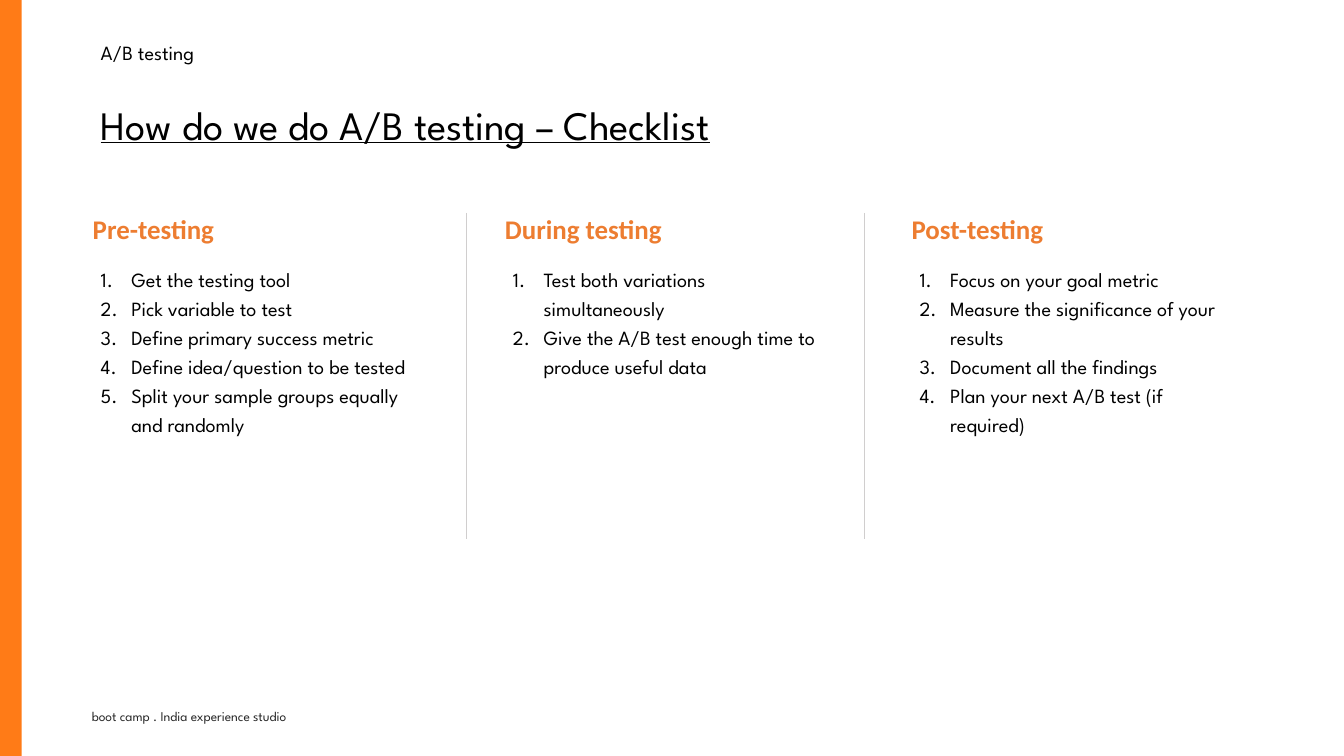
from dataclasses import dataclass

from lxml import etree
from pptx import Presentation
from pptx import util as u
from pptx.dml.color import RGBColor
from pptx.enum import shapes, text
from pptx.oxml.ns import qn

BODY_FONT = "League Spartan"
HEADING_FONT = "Calibri"
BLACK = "000000"
COLUMN_TOP = 2.64
LIST_TOP = 3.2
DIVIDER_BOTTOM = 6.68
NUMBER_INDENT = 0.38


@dataclass
class Style:
    size: float
    color: str = BLACK
    font: str = BODY_FONT
    bold: bool = False
    underline: bool = False
    line_spacing: float = 1.0
    numbered: bool = False
    inset: bool = True
    grows: bool = True
    anchor: text.MSO_ANCHOR = text.MSO_ANCHOR.TOP


@dataclass
class Phase:
    heading: str
    left: float
    list_width: float
    list_height: float
    steps: list[str]


FOOTER = Style(12, color="262626")
TITLE = Style(36, underline=True, line_spacing=0.9, grows=False,
              anchor=text.MSO_ANCHOR.MIDDLE)
TOPIC = Style(18, line_spacing=0.9, grows=False)
HEADING = Style(24, color="ED7D31", font=HEADING_FONT, bold=True, inset=False)
STEP = Style(18, line_spacing=1.2, numbered=True)

PHASES = [
    Phase("Pre-testing", 1.15, 4.16, 2.62, [
        "Get the testing tool",
        "Pick variable to test",
        "Define primary success metric",
        "Define idea/question to be tested",
        "Split your sample groups equally and randomly",
    ]),
    Phase("During testing", 6.26, 4.05, 1.53, [
        "Test both variations simultaneously",
        "Give the A/B test enough time to produce useful data",
    ]),
    Phase("Post-testing", 11.3, 3.95, 4.98, [
        "Focus on your goal metric",
        "Measure the significance of your results",
        "Document all the findings",
        "Plan your next A/B test (if required)",
    ]),
]
DIVIDERS = [5.78, 10.71]


def rgb(value: str) -> RGBColor:
    return RGBColor.from_string(value)


def number_paragraph(paragraph) -> None:
    props = paragraph._p.get_or_add_pPr()
    props.set("marL", str(u.Inches(NUMBER_INDENT)))
    props.set("indent", str(-u.Inches(NUMBER_INDENT)))
    etree.SubElement(props, qn("a:buFont"), typeface="+mj-lt")
    etree.SubElement(props, qn("a:buAutoNum"), type="arabicPeriod")


def add_text(slide, left: float, top: float, width: float, height: float,
             lines: list[str], style: Style) -> None:
    box = slide.shapes.add_textbox(
        u.Inches(left), u.Inches(top), u.Inches(width), u.Inches(height))
    frame = box.text_frame
    frame.word_wrap = True
    frame.vertical_anchor = style.anchor
    if style.grows:
        frame.auto_size = text.MSO_AUTO_SIZE.SHAPE_TO_FIT_TEXT
    if not style.inset:
        frame.margin_left = frame.margin_right = 0
        frame.margin_top = frame.margin_bottom = 0
    for index, line in enumerate(lines):
        paragraph = frame.add_paragraph() if index else frame.paragraphs[0]
        if style.numbered:
            number_paragraph(paragraph)
        paragraph.line_spacing = style.line_spacing
        run = paragraph.add_run()
        run.text = line
        run.font.size = u.Pt(style.size)
        run.font.name = style.font
        run.font.bold = style.bold
        run.font.underline = style.underline
        run.font.color.rgb = rgb(style.color)


def add_divider(slide, x: float) -> None:
    divider = slide.shapes.add_connector(
        shapes.MSO_CONNECTOR.STRAIGHT, u.Inches(x), u.Inches(COLUMN_TOP),
        u.Inches(x), u.Inches(DIVIDER_BOTTOM))
    divider.line.color.rgb = rgb("D0CECE")
    divider.line.width = u.Pt(0.5)
    etree.SubElement(divider._element.spPr, qn("a:effectLst"))


def main() -> None:
    deck = Presentation()
    deck.slide_width = u.Inches(16.66)
    deck.slide_height = u.Inches(9.37)
    slide = deck.slides.add_slide(deck.slide_layouts[6])

    # Orange edge
    edge = slide.shapes.add_shape(
        shapes.MSO_SHAPE.RECTANGLE, 0, 0, u.Inches(0.27), deck.slide_height)
    edge.shadow.inherit = False
    edge.fill.solid()
    edge.fill.fore_color.rgb = rgb("FF7B17")
    edge.line.fill.background()

    # Footer, title and topic
    add_text(slide, 1.04, 8.73, 8.34, 0.3,
             ["boot camp . India experience studio"], FOOTER)
    add_text(slide, 1.15, 1.03, 14.37, 1.1,
             ["How do we do A/B testing – Checklist"], TITLE)
    add_text(slide, 1.15, 0.48, 6.28, 0.32, ["A/B testing"], TOPIC)

    # Checklist columns
    for phase in PHASES:
        add_text(slide, phase.left, LIST_TOP, phase.list_width,
                 phase.list_height, phase.steps, STEP)
        add_text(slide, phase.left, COLUMN_TOP, 4.44, 0.4,
                 [phase.heading], HEADING)
    for x in DIVIDERS:
        add_divider(slide, x)

    deck.save("out.pptx")


if __name__ == "__main__":
    main()
